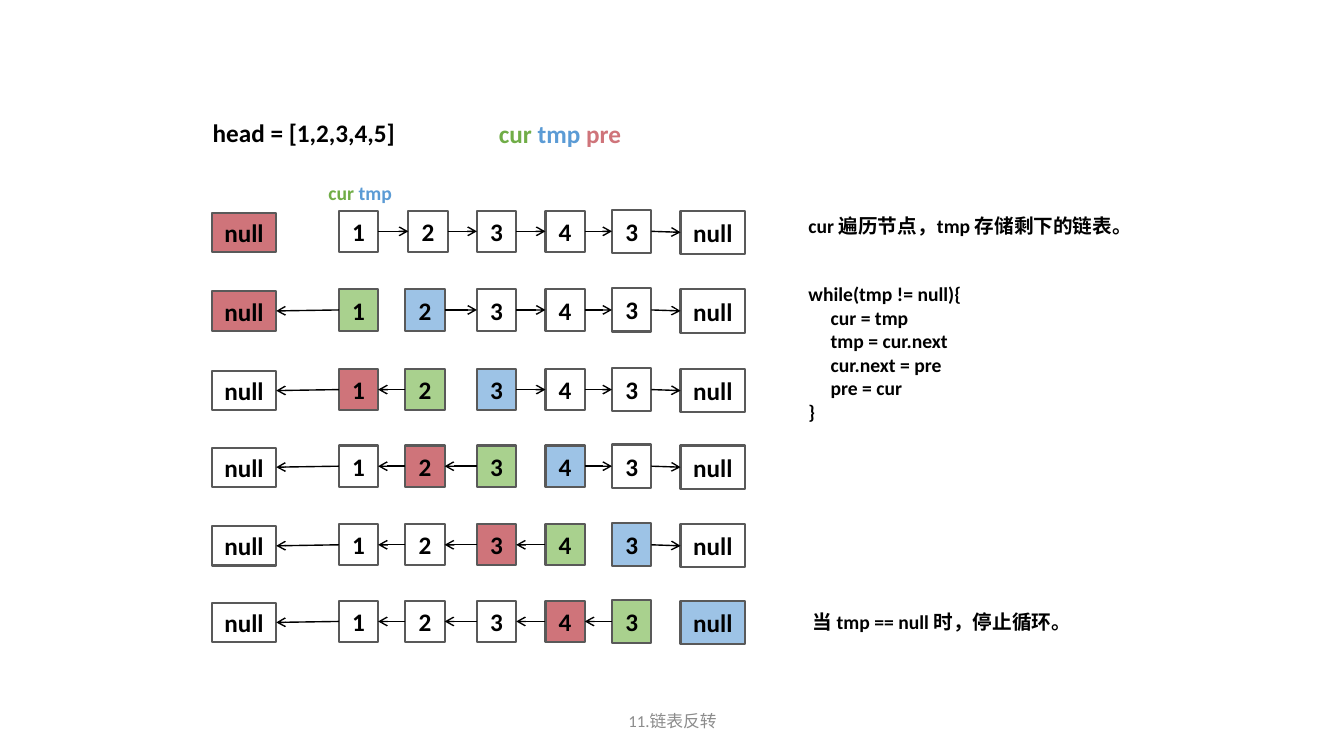
from pptx import Presentation
from pptx.dml.color import RGBColor
from pptx.enum.shapes import MSO_CONNECTOR as CONN, MSO_SHAPE as SHAPE
from pptx.enum.text import MSO_ANCHOR as ANCHOR, MSO_AUTO_SIZE as AUTO, PP_ALIGN as ALIGN
from pptx.oxml.ns import qn
from pptx.util import Inches, Pt
from lxml import etree

BLACK, WHITE, GRAY, BORDER = "000000", "FFFFFF", "8C8C8C", "595959"
PRE, CUR, TMP = "CF747A", "A9D18E", "9DC3E6"
CUR_TEXT, TMP_TEXT = "70AD47", "5B9BD5"
LEFT, RIGHT = 1, 3  # connection sites of a rectangle

# Cells of one list row: text, left, offset from row top, width, height
CELLS = [
    ("null", 2.1, 0.02, 0.64, 0.39),
    ("1", 3.36, 0, 0.39, 0.41),
    ("2", 4.02, 0, 0.39, 0.41),
    ("3", 4.73, 0, 0.39, 0.41),
    ("4", 5.41, 0, 0.39, 0.41),
    ("3", 6.07, -0.01, 0.39, 0.43),
    ("null", 6.75, 0, 0.64, 0.43),
]
ROW_TOPS = [2.09, 2.87, 3.66, 4.42, 5.2, 5.96]

CODE = [
    ("while(tmp != null){", 0),
    ("cur = tmp", 0.22),
    ("tmp = cur.next", 0.22),
    ("cur.next = pre", 0.22),
    ("pre = cur", 0.22),
    ("}", 0),
]


def rgb(color):
    return RGBColor.from_string(color)


def add_runs(p, runs, size, bold=True, align=ALIGN.LEFT):
    p.alignment = align
    for text, color in runs:
        r = p.add_run()
        r.text = text
        for name, value in {"name": "Calibri", "size": Pt(size), "bold": bold}.items():
            setattr(r.font, name, value)
        r.font.color.rgb = rgb(color)


def format_frame(tf, anchor=ANCHOR.TOP):
    values = {"word_wrap": True, "auto_size": AUTO.NONE, "vertical_anchor": anchor}
    for name, value in values.items():
        setattr(tf, name, value)
    return tf


def add_text(s, box, runs, size, bold=True, align=ALIGN.LEFT, anchor=ANCHOR.TOP):
    tf = format_frame(s.shapes.add_textbox(*map(Inches, box)).text_frame, anchor)
    add_runs(tf.paragraphs[0], runs, size, bold, align)


def add_title(s, box, text):
    title = s.shapes.title
    for name, value in zip(("left", "top", "width", "height"), box):
        setattr(title, name, Inches(value))
    tf = format_frame(title.text_frame)
    add_runs(tf.paragraphs[0], [(text, BLACK)], 18)


def add_cell(s, box, text, fill):
    sp = s.shapes.add_shape(SHAPE.RECTANGLE, *map(Inches, box))
    sp.shadow.inherit = False
    sp.fill.solid()
    sp.fill.fore_color.rgb = rgb(fill)
    sp.line.color.rgb = rgb(BORDER)
    sp.line.width = Pt(1.5)
    tf = format_frame(sp.text_frame, ANCHOR.MIDDLE)
    add_runs(tf.paragraphs[0], [(text, BLACK)], 18, align=ALIGN.CENTER)
    return sp


def add_arrow(s, start, start_site, end, end_site):
    line = s.shapes.add_connector(CONN.STRAIGHT, 0, 0, 0, 0)
    line.begin_connect(start, start_site)
    line.end_connect(end, end_site)
    line.line.color.rgb = rgb(BLACK)
    line.line.width = Pt(1)
    etree.SubElement(line.line._get_or_add_ln(), qn("a:tailEnd"), type="arrow")
    etree.SubElement(line._element.spPr, qn("a:effectLst"))


def add_list_row(s, top, step):
    """Draw the list after `step` links have been turned round."""
    fills = {0: PRE} if step == 0 else {step - 1: PRE, step: CUR, step + 1: TMP}
    nodes = []
    for i, (text, left, dy, width, height) in enumerate(CELLS):
        if step == 0 and i == 2:
            left += 0.03
        box = (left, top + dy, width, height)
        nodes.append(add_cell(s, box, text, fills.get(i, WHITE)))
    for i in range(1, len(nodes) - 1):
        if i <= step:
            add_arrow(s, nodes[i], LEFT, nodes[i - 1], RIGHT)
        else:
            add_arrow(s, nodes[i], RIGHT, nodes[i + 1], LEFT)


def add_code(s, box):
    tf = format_frame(s.shapes.add_textbox(*map(Inches, box)).text_frame)
    for i, (text, indent) in enumerate(CODE):
        p = tf.add_paragraph() if i else tf.paragraphs[0]
        add_runs(p, [(text, BLACK)], 14)
        p._p.get_or_add_pPr().set("marL", str(Inches(indent)))


def add_notes_column(s, left, top, width):
    add_text(s, (left, top, width, 0.34),
             [("cur 遍历节点，tmp 存储剩下的链表。", BLACK)], 14)
    add_code(s, (left, top + 0.68, width, 1.51))
    add_text(s, (left + 0.04, top + 3.93, width, 0.34),
             [("当 tmp == null 时，停止循环。", BLACK)], 14)


def main():
    prs = Presentation()
    prs.slide_width, prs.slide_height = Inches(13.33), Inches(7.5)
    s = prs.slides.add_slide(prs.slide_layouts[5])

    # Heading and colour key
    add_title(s, (2.01, 1.11, 2.57, 0.4), "head = [1,2,3,4,5]")
    add_text(s, (4.85, 1.12, 1.93, 0.41),
             [("cur ", CUR_TEXT), ("tmp ", TMP_TEXT), ("pre", PRE)], 18)
    add_text(s, (3.16, 1.75, 1.06, 0.34),
             [("cur ", CUR_TEXT), ("tmp", TMP_TEXT)], 14)

    # Steps of the reversal
    for step, top in enumerate(ROW_TOPS):
        add_list_row(s, top, step)

    # Explanation and footer
    add_notes_column(s, 7.92, 2.07, 3.4)
    add_text(s, (4.42, 6.95, 4.5, 0.4), [("11.链表反转", GRAY)], 12,
             bold=False, align=ALIGN.CENTER, anchor=ANCHOR.MIDDLE)

    prs.save("out.pptx")


if __name__ == "__main__":
    main()
